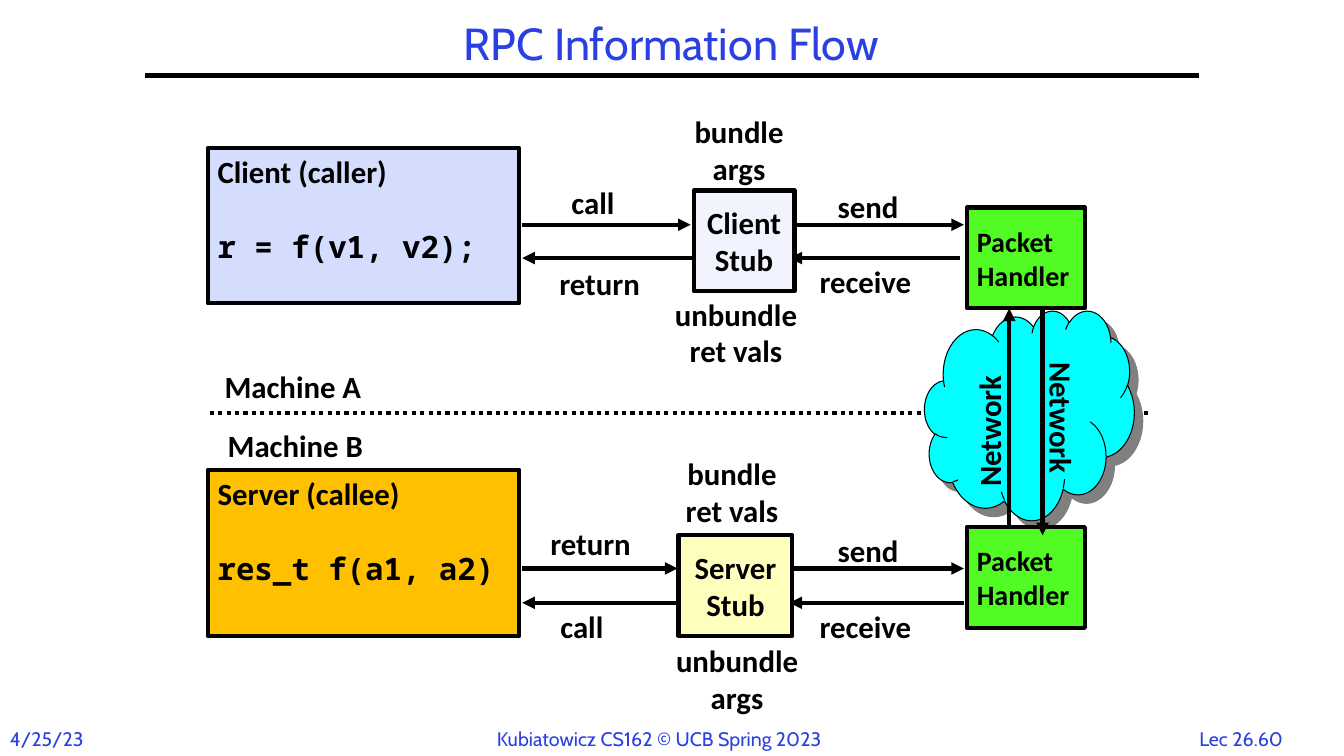
from lxml import etree
from pptx import Presentation
from pptx.dml.color import RGBColor
from pptx.enum.dml import MSO_LINE
from pptx.enum.shapes import MSO_CONNECTOR, MSO_SHAPE
from pptx.enum.text import MSO_ANCHOR, MSO_AUTO_SIZE, PP_ALIGN
from pptx.oxml.ns import qn
from pptx.util import Inches, Pt

STRAIGHT = MSO_CONNECTOR.STRAIGHT
RECTANGLE, CLOUD = MSO_SHAPE.RECTANGLE, MSO_SHAPE.CLOUD
LEFT, CENTER = PP_ALIGN.LEFT, PP_ALIGN.CENTER
TOP, MIDDLE = MSO_ANCHOR.TOP, MSO_ANCHOR.MIDDLE
DOTTED = MSO_LINE.ROUND_DOT

# The grid: 133.3 columns by 75 rows, each cell a tenth of an inch.
CELL = 0.1
COLUMNS, ROWS = 133.3, 75

COLORS = {
    "black": "000000", "blue": "2A40E2", "client": "D4DDFE", "server": "FFC000",
    "client stub": "F1F4FF", "server stub": "FFFFBD", "packet": "53FB25",
    "cloud": "00FFFF", "shadow": "808080",
}
LABEL = {"name": "Calibri", "size": Pt(22), "bold": True}
PACKET = {**LABEL, "size": Pt(20)}
CODE = {**LABEL, "name": "Noto Sans Mono"}
TITLE = {"name": "Cabin", "size": Pt(32), "bold": False}
FOOTER = {**TITLE, "size": Pt(14)}


def cells(*counts):
    return [Inches(count * CELL) for count in counts]


def rgb(name):
    return RGBColor.from_string(COLORS[name])


class FlowSlide:
    def __init__(self, deck):
        self.slide = deck.slides.add_slide(deck.slide_layouts[5])
        self.shapes = self.slide.shapes

    def fill_text(self, shape, lines, style, color="black", align=CENTER, anchor=TOP):
        frame = shape.text_frame
        settings = {"word_wrap": True, "auto_size": MSO_AUTO_SIZE.NONE,
                    "vertical_anchor": anchor}
        for name, value in settings.items():
            setattr(frame, name, value)
        for index, line in enumerate(lines):
            para = frame.paragraphs[0] if index == 0 else frame.add_paragraph()
            para.alignment = align
            span = para.add_run()
            span.text = line
            for name, value in style.items():
                setattr(span.font, name, value)
            span.font.color.rgb = rgb(color)
        return frame.paragraphs

    def title(self, text, place):
        box = self.shapes.title
        box.left, box.top, box.width, box.height = cells(*place)
        paras = self.fill_text(box, [text], TITLE, "blue", anchor=MIDDLE)
        paras[0].line_spacing = 0.9

    def label(self, lines, place, style=LABEL, color="black", align=LEFT, rotation=0):
        box = self.shapes.add_textbox(*cells(*place))
        box.rotation = rotation
        self.fill_text(box, lines, style, color, align)

    def shape(self, kind, place, fill, width=3):
        shape = self.shapes.add_shape(kind, *cells(*place))
        shape.shadow.inherit = False
        shape.fill.solid()
        shape.fill.fore_color.rgb = rgb(fill)
        shape.line.color.rgb = rgb("black")
        shape.line.width = Pt(width)
        return shape

    def box(self, lines, place, fill, style=LABEL, align=CENTER):
        self.fill_text(self.shape(RECTANGLE, place, fill), lines, style,
                       align=align, anchor=MIDDLE)

    def program(self, heading, code, place, fill):
        """Draw a caller or callee box: a heading above one line of code."""
        box = self.shape(RECTANGLE, place, fill)
        code_para = self.fill_text(box, [heading, code], LABEL, align=LEFT)[1]
        code_para.space_before = Pt(27)
        for name, value in CODE.items():
            setattr(code_para.runs[0].font, name, value)

    def cloud(self, place):
        cloud = self.shape(CLOUD, place, "cloud", 0.75)
        effects = cloud._element.spPr.find(qn("a:effectLst"))
        shadow = etree.SubElement(effects, qn("a:outerShdw"), dist=str(Pt(8.5)),
                                  dir=str(45 * 60000), algn="ctr", rotWithShape="0")
        etree.SubElement(shadow, qn("a:srgbClr"), val=COLORS["shadow"])

    def line(self, start, end, dash=None, arrow=False):
        line = self.shapes.add_connector(STRAIGHT, *cells(*start, *end))
        line.line.color.rgb = rgb("black")
        line.line.width = Pt(3)
        if dash:
            line.line.dash_style = dash
        properties = line._element.spPr
        if arrow:
            etree.SubElement(properties.find(qn("a:ln")), qn("a:tailEnd"), type="triangle")
        etree.SubElement(properties, qn("a:effectLst"))


def main():
    deck = Presentation()
    deck.slide_width, deck.slide_height = cells(COLUMNS, ROWS)
    flow = FlowSlide(deck)

    flow.title("RPC Information Flow", (14.4, 1.7, 104.4, 5.8))
    flow.line((14.4, 7.5), (118.9, 7.5))
    for text, left, width, align in (
            ("4/25/23", 0, 10, LEFT),
            ("Kubiatowicz CS162 © UCB Spring 2023", 48.3, 36.8, LEFT),
            ("Lec 26.60", 117.7, 10.8, CENTER)):
        flow.label([text], (left, 71.6, width, 3.4), FOOTER, "blue", align)

    flow.program("Client (caller)", "r = f(v1, v2);", (20.6, 14.7, 30.9, 15.4), "client")
    flow.program("Server (callee)", "res_t f(a1, a2)", (20.6, 46.6, 30.9, 16.5), "server")

    # Each message: label, arrow start and end columns, arrow row, label column and row.
    for text, start, end, row, left, top in (
            ("call", 51.8, 68.5, 22.3, 55.7, 17.7),
            ("return", 71, 51.8, 25.6, 54.5, 25.8),
            ("send", 78.3, 95.6, 22.3, 82.1, 18.1),
            ("receive", 95.2, 78.3, 25.6, 80.3, 25.6),
            ("return", 51.8, 67.2, 56.4, 53.6, 51.6),
            ("call", 71, 51.8, 59.8, 54.6, 59.8),
            ("send", 78.3, 95.6, 56.4, 82.1, 52.3),
            ("receive", 95.6, 78.3, 59.8, 80.3, 59.8)):
        flow.line((start, row), (end, row), arrow=True)
        flow.label([text], (left, top, 12.3, 4.7))

    flow.line((20.8, 41), (114.2, 41), dash=DOTTED)
    flow.label(["Machine A"], (21.3, 36, 17, 4.7))
    flow.label(["Machine B"], (21.6, 41.8, 17, 4.7))

    flow.cloud((91.7, 30.8, 20.8, 20.8))
    for top in (20.6, 52.3):
        flow.box(["Packet", "Handler"], (95.9, top, 11.7, 10), "packet", PACKET, LEFT)
    for column, start, end, left, top, rotation in (
            (103.4, 30.6, 53.1, 97.9, 40, 90),
            (100.1, 52.3, 30.6, 90.7, 39.5, 270)):
        flow.label(["Network"], (left, top, 14.8, 4.7), rotation=rotation)
        flow.line((column, start), (column, end), arrow=True)

    flow.box(["Client", "Stub"], (68.8, 18.9, 10, 10), "client stub")
    flow.box(["Server", "Stub"], (67.3, 53.1, 11.3, 10), "server stub")
    for lines, left, top in (
            (["bundle", "args"], 65.6, 10.7),
            (["unbundle", "ret vals"], 65.3, 28.8),
            (["bundle", "ret vals"], 64.9, 44.6),
            (["unbundle", "args"], 65.4, 63.2)):
        flow.label(lines, (left, top, 15.4, 8.4), align=CENTER)

    deck.save("out.pptx")


if __name__ == "__main__":
    main()
